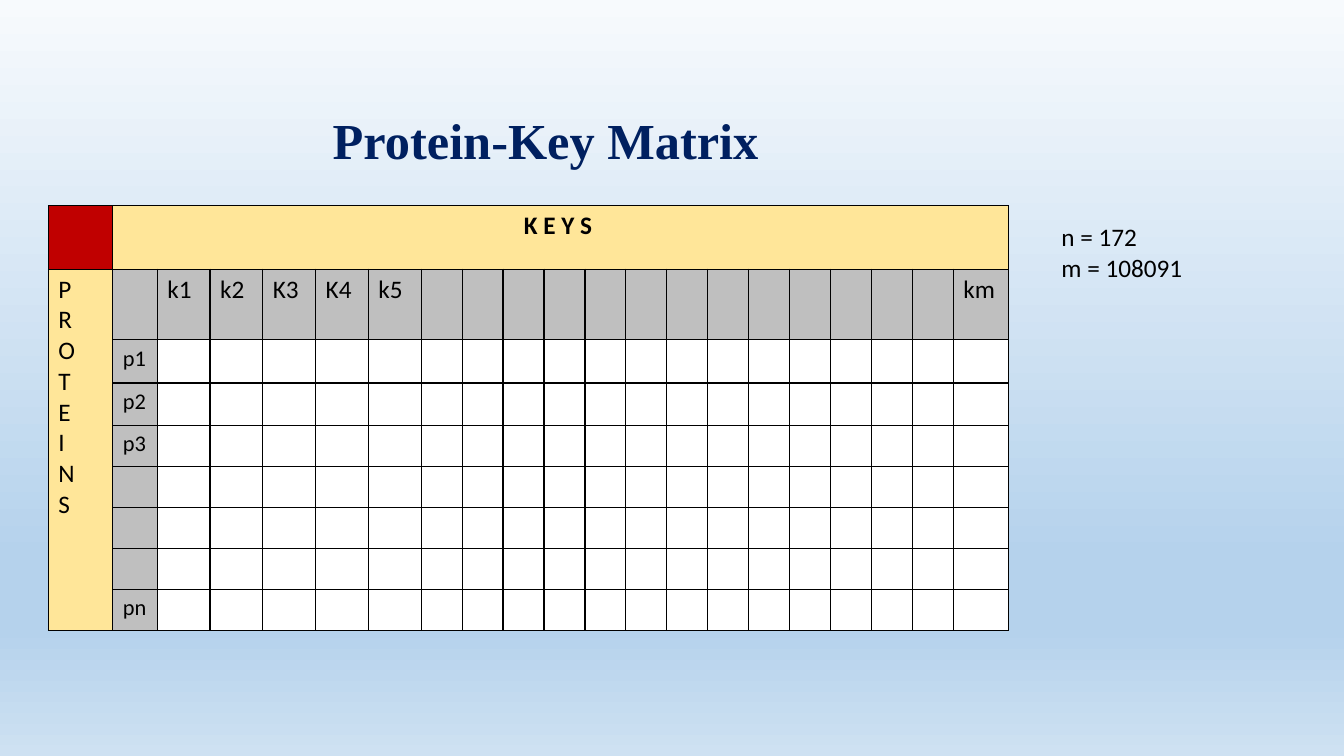
from lxml import etree
from pptx import Presentation
from pptx import util as u
from pptx.dml.color import RGBColor
from pptx.enum import text
from pptx.oxml.ns import qn

COLORS = {
    "navy": "002060", "black": "000000", "white": "FFFFFF",
    "red": "C00000", "yellow": "FFE699", "gray": "BFBFBF",
    "sky_top": "F7FAFD", "sky_mid": "B5D2EC", "sky_end": "CEE1F2",
}


class MatrixSlide:
    """Holds the style and the current slide."""

    font, size = "Calibri", 18

    def __init__(self, deck):
        self.slide = deck.slides.add_slide(deck.slide_layouts[5])

    def background(self, stops):
        fill = self.slide.background.fill
        fill.gradient()
        fill.gradient_angle = 270
        stop_list = self.slide.element.find(".//" + qn("a:gsLst"))
        for old_stop in list(stop_list):
            stop_list.remove(old_stop)
        for percent, color in stops:
            stop = etree.SubElement(stop_list, qn("a:gs"), pos=str(percent * 1000))
            etree.SubElement(stop, qn("a:srgbClr"), val=COLORS[color])

    def add_lines(self, frame, lines, size=None, font=None, color="black",
                  bold=False, align=text.PP_ALIGN.LEFT):
        for i, line in enumerate(lines):
            paragraph = frame.add_paragraph() if i else frame.paragraphs[0]
            paragraph.alignment = align
            run = paragraph.add_run()
            run.text = line
            run.font.name = font or self.font
            run.font.size = u.Pt(size or self.size)
            run.font.bold = bold
            run.font.color.rgb = RGBColor.from_string(COLORS[color])

    def title(self, words, box):
        title = self.slide.shapes.title
        title.left, title.top, title.width, title.height = map(u.Inches, box)
        frame = title.text_frame
        frame.word_wrap = True
        frame.auto_size = text.MSO_AUTO_SIZE.NONE
        frame.vertical_anchor = text.MSO_ANCHOR.TOP
        self.add_lines(frame, [words], 36, "Times New Roman", "navy", True)

    def note(self, lines, box):
        note = self.slide.shapes.add_textbox(*map(u.Inches, box))
        note.text_frame.word_wrap = True
        self.add_lines(note.text_frame, lines)

    def cell_style(self, cell, fill):
        properties = cell._tc.get_or_add_tcPr()
        for side in ("lnL", "lnR", "lnT", "lnB"):
            line = etree.SubElement(properties, qn("a:" + side), w=str(u.Pt(1)))
            solid = etree.SubElement(line, qn("a:solidFill"))
            etree.SubElement(solid, qn("a:srgbClr"), val=COLORS["black"])
        cell.fill.solid()
        cell.fill.fore_color.rgb = RGBColor.from_string(COLORS[fill])

    def table(self, box, widths, heights, fill_of):
        frame = self.slide.shapes.add_table(
            len(heights), len(widths), *map(u.Inches, box))
        grid = frame.table
        grid.first_row = grid.horz_banding = False
        for column, width in zip(grid.columns, widths):
            column.width = u.Inches(width)
        for row, height in zip(grid.rows, heights):
            row.height = u.Inches(height)
        for r in range(len(heights)):
            for c in range(len(widths)):
                self.cell_style(grid.cell(r, c), fill_of(r, c))
        return grid


def matrix_fill(row, column):
    if row == 0 and column == 0:
        return "red"
    if row == 0 or column == 0:
        return "yellow"
    return "gray" if row == 1 or column == 1 else "white"


def main():
    deck = Presentation()
    deck.slide_width, deck.slide_height = u.Inches(13.33), u.Inches(7.5)
    page = MatrixSlide(deck)
    page.background([(0, "sky_top"), (74, "sky_mid"),
                     (83, "sky_mid"), (100, "sky_end")])
    page.title("Protein-Key Matrix", (3.2, 1.03, 6.69, 0.71))

    # Matrix grid: named keys, unnamed keys, last key
    widths = [0.64, 0.44] + [2.62 / 5] * 5 + [5.28 / 13] * 13 + [0.55]
    heights = [0.63, 0.7, 0.43, 0.42, 0.41] + [0.4] * 4
    matrix = page.table((0.48, 2.04, 9.53, 4.18), widths, heights, matrix_fill)
    last_row, last_column = len(heights) - 1, len(widths) - 1

    # Merged headings
    matrix.cell(0, 1).merge(matrix.cell(0, last_column))
    matrix.cell(1, 0).merge(matrix.cell(last_row, 0))
    page.add_lines(matrix.cell(0, 1).text_frame, ["K E Y S "], bold=True,
                   align=text.PP_ALIGN.CENTER)
    page.add_lines(matrix.cell(1, 0).text_frame, "PROTEINS")

    # Key and protein labels
    keys = dict(enumerate(["k1", "k2", "K3", "K4", "k5"], 2))
    keys[last_column] = "km"
    for column, key in keys.items():
        page.add_lines(matrix.cell(1, column).text_frame, [key])
    proteins = dict(enumerate(["p1", "p2", "p3"], 2))
    proteins[last_row] = "pn"
    for row, protein in proteins.items():
        page.add_lines(matrix.cell(row, 1).text_frame, [protein], 16)

    # Matrix dimensions
    page.note(["n = 172", "m = 108091"], (10.43, 2.15, 2.54, 0.71))
    deck.save("out.pptx")


if __name__ == "__main__":
    main()
